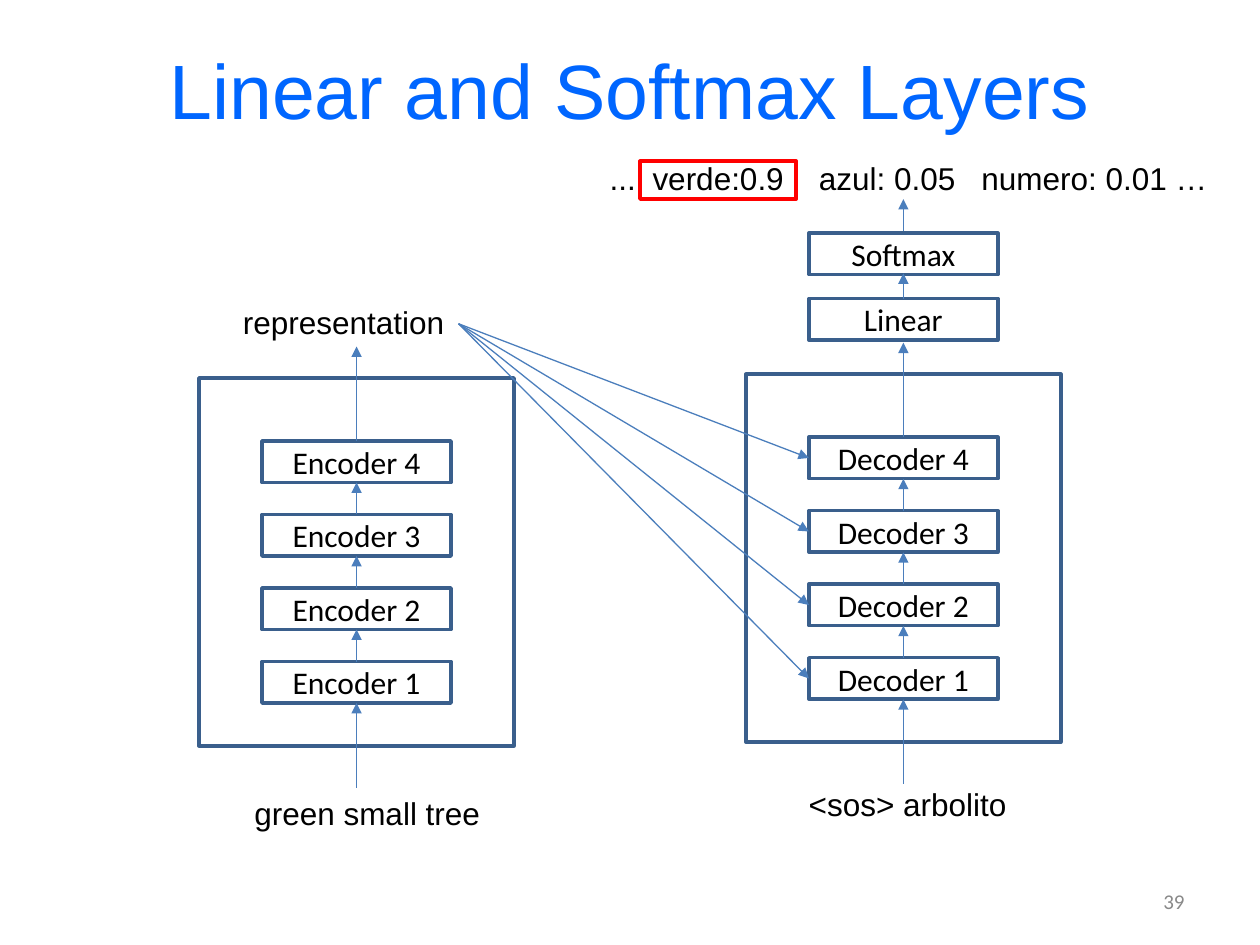
from lxml.etree import SubElement
from pptx import Presentation
from pptx.dml.color import RGBColor
from pptx.enum.shapes import MSO_CONNECTOR as Connector, MSO_SHAPE as Shape
from pptx.enum.text import MSO_ANCHOR as Anchor, PP_ALIGN as Align
from pptx.oxml.ns import qn
from pptx.util import Inches, Pt

COLORS = {"title": "0066FF", "text": "000000", "number": "898989",
          "box": "3A5F8C", "arrow": "4B7EBC", "highlight": "FF0000"}

TITLE = ("Linear and Softmax Layers", 0.5, 0.08, 9, 1.25)
PAGE_NUMBER = ("39", 7.17, 6.95, 2.33, 0.4)
LABELS = [
    ("green small tree", 1.92, 6.25, 2.01, 0.4),
    ("representation", 1.83, 2.36, 1.81, 0.4),
    ("<sos> arbolito", 6.32, 6.18, 1.79, 0.4),
]
PROBABILITIES = ("...\tverde:0.9\tazul: 0.05\tnumero: 0.01 …", 4.74, 1.21, 5.28, 0.4)
PROBABILITY_TABS = (0.34, 1.66, 2.95)
CHOSEN_WORD = (5.08, 1.28, 1.24, 0.3)
STACKS = [("Encoder", 1.58, 3.0), ("Decoder", 5.92, 2.97)]
OUTPUT_LAYERS = [("Linear", 2.37), ("Softmax", 1.85)]
OUTPUT_ARROWS = [(2.37, 2.17), (1.83, 1.58)]

LAYER_COUNT = 4
FRAME_WIDTH, FRAME_HEIGHT = 2.5, 2.92
LAYER_WIDTH, LAYER_HEIGHT = 1.5, 0.33
LAYER_INSET = 0.5
LAYER_PITCH = 1.75 / 3
INPUT_REACH, OUTPUT_REACH = 0.33, 0.25
REPRESENTATION_POINT = (3.64, 2.57)

presentation = Presentation()
presentation.slide_width, presentation.slide_height = Inches(10), Inches(7.5)
slide = presentation.slides.add_slide(presentation.slide_layouts[6])


def color(name):
    return RGBColor.from_string(COLORS[name])


def write(shape, text, size=18, font="Calibri", tint="text",
          align=Align.CENTER, anchor=Anchor.MIDDLE, wrap=True):
    frame = shape.text_frame
    frame.word_wrap = wrap
    frame.vertical_anchor = anchor
    frame.text = text
    paragraph = frame.paragraphs[0]
    paragraph.alignment = align
    for run in paragraph.runs:
        run.font.size, run.font.name = Pt(size), font
        run.font.color.rgb = color(tint)
    return paragraph


def add_text(text, left, top, width, height, **style):
    box = slide.shapes.add_textbox(*map(Inches, (left, top, width, height)))
    return write(box, text, **style)


def add_box(left, top, width, height, text="", tint="box"):
    box = slide.shapes.add_shape(Shape.RECTANGLE, *map(Inches, (left, top, width, height)))
    box.shadow.inherit = False
    box.fill.background()
    box.line.color.rgb, box.line.width = color(tint), Pt(2)
    if text:
        write(box, text)


def add_arrow(start, end):
    arrow = slide.shapes.add_connector(Connector.STRAIGHT, *map(Inches, (*start, *end)))
    arrow.line.color.rgb, arrow.line.width = color("arrow"), Pt(0.75)
    SubElement(arrow.line._get_or_add_ln(), qn("a:tailEnd"), type="triangle")
    SubElement(arrow._element.spPr, qn("a:effectLst"))


def add_stack(name, left, top):
    """Draw a frame of chained layers; return the left midpoint of each layer."""
    add_box(left, top, FRAME_WIDTH, FRAME_HEIGHT)
    layer_left, center = left + LAYER_INSET, left + FRAME_WIDTH / 2
    tops = [top + LAYER_INSET + (LAYER_COUNT - number) * LAYER_PITCH
            for number in range(1, LAYER_COUNT + 1)]
    for number, layer_top in enumerate(tops, 1):
        add_box(layer_left, layer_top, LAYER_WIDTH, LAYER_HEIGHT, f"{name} {number}")
    starts = [top + FRAME_HEIGHT + INPUT_REACH, *tops]
    ends = [layer_top + LAYER_HEIGHT for layer_top in tops] + [top - OUTPUT_REACH]
    for start, end in zip(starts, ends):
        add_arrow((center, start), (center, end))
    return [(layer_left, layer_top + LAYER_HEIGHT / 2) for layer_top in tops]


add_text(*TITLE, size=44, font="Arial", tint="title")
add_text(*PAGE_NUMBER, size=12, tint="number", align=Align.RIGHT)

layer_entries = {name: add_stack(name, left, top) for name, left, top in STACKS}
for entry in layer_entries["Decoder"]:
    add_arrow(REPRESENTATION_POINT, entry)

decoder_left = STACKS[1][1]
for name, top in OUTPUT_LAYERS:
    add_box(decoder_left + LAYER_INSET, top, LAYER_WIDTH, LAYER_HEIGHT, name)
for start, end in OUTPUT_ARROWS:
    center = decoder_left + FRAME_WIDTH / 2
    add_arrow((center, start), (center, end))

label_style = {"font": "Arial", "align": Align.LEFT, "anchor": Anchor.TOP}
for label in LABELS:
    add_text(*label, wrap=False, **label_style)

probabilities = add_text(*PROBABILITIES, **label_style)
tab_list = SubElement(probabilities._p.get_or_add_pPr(), qn("a:tabLst"))
for position in PROBABILITY_TABS:
    SubElement(tab_list, qn("a:tab"), pos=str(Inches(position)), algn="l")
add_box(*CHOSEN_WORD, tint="highlight")

presentation.save("out.pptx")
